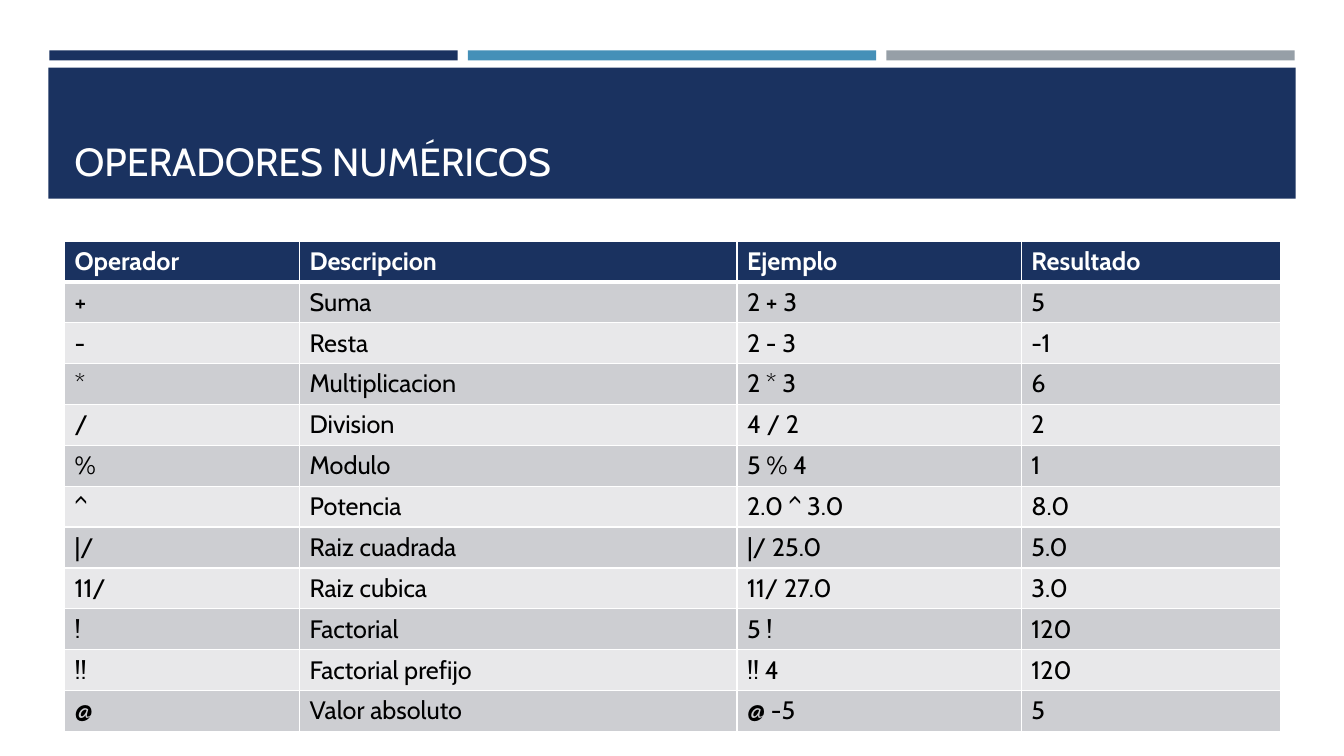
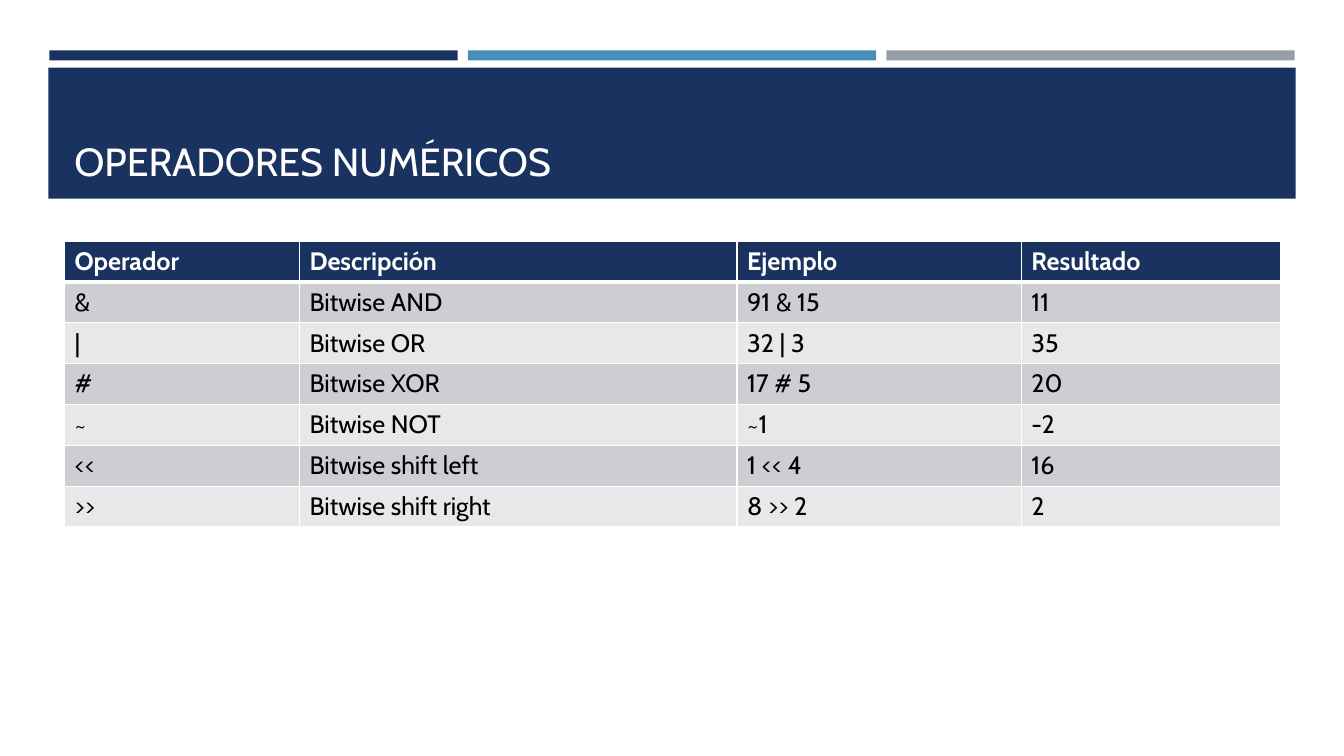
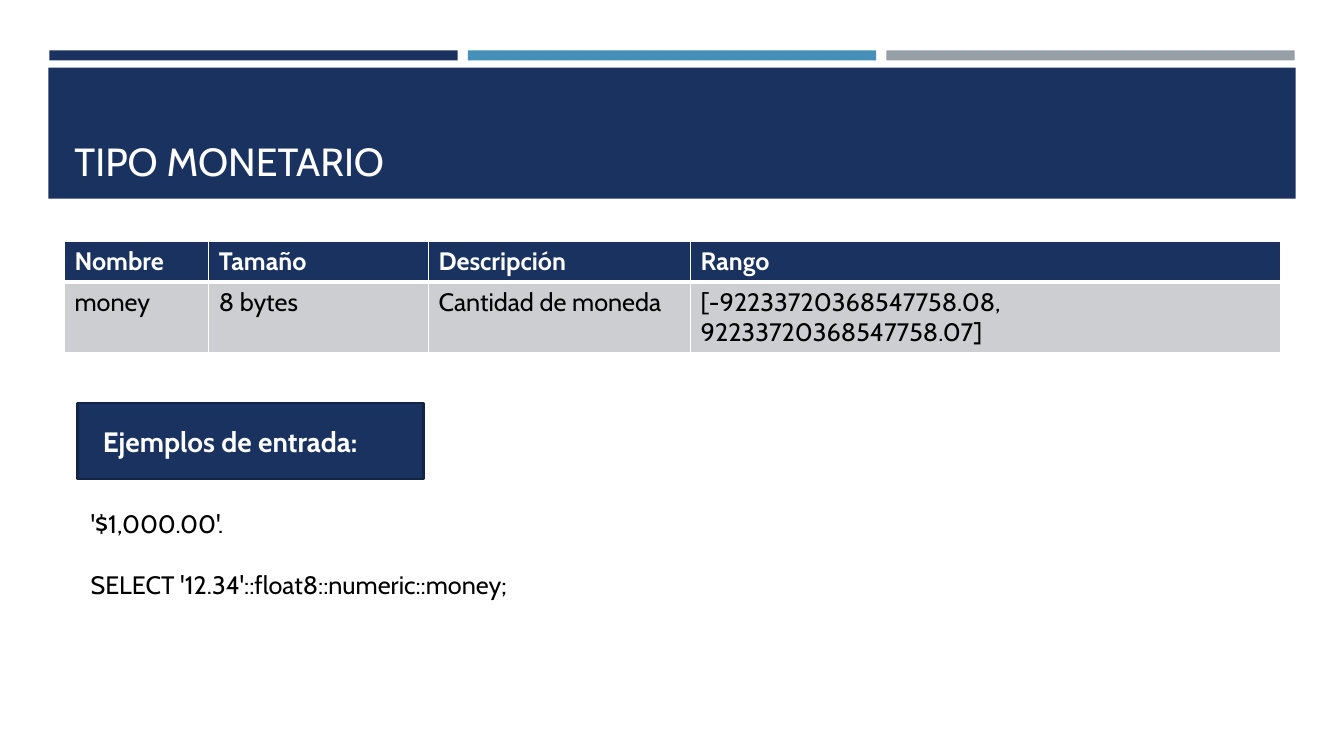
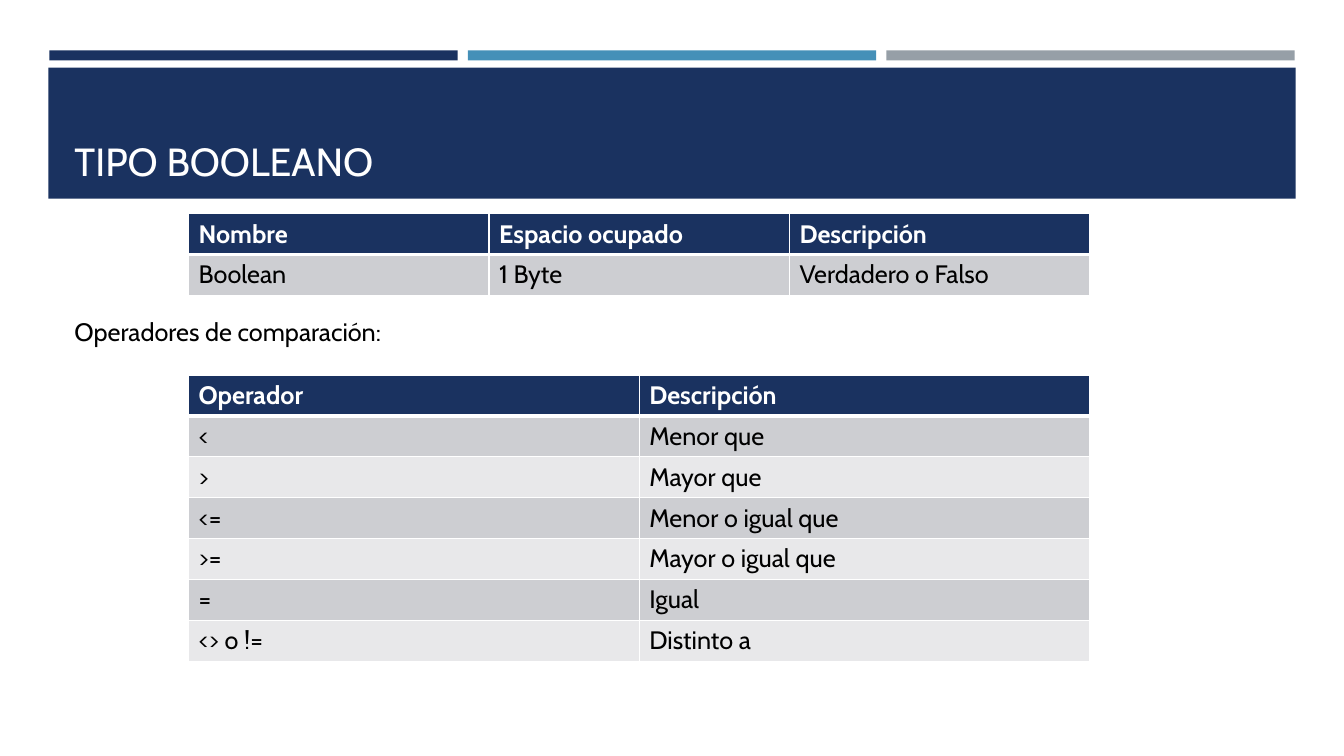
import pptx
import pptx.dml.color
import pptx.enum.shapes
import pptx.enum.text
import pptx.oxml
import pptx.oxml.ns
import pptx.util

RGB = pptx.dml.color.RGBColor
ANCHOR = pptx.enum.text.MSO_ANCHOR

PX = 9144  # EMU; 100 px to the inch
FONT = "Cabin"
NAVY = RGB(0x1A, 0x32, 0x60)
DARK_NAVY = RGB(0x13, 0x25, 0x47)
BLUE = RGB(0x45, 0x90, 0xB8)
GRAY = RGB(0x96, 0x9F, 0xA7)
WHITE = RGB(0xFF, 0xFF, 0xFF)
BLACK = RGB(0, 0, 0)
ROW_FILLS = (RGB(0xCD, 0xCE, 0xD2), RGB(0xE8, 0xE8, 0xEA))

OPERATOR_COLS = (233, 434, 282, 257)
NUMERIC_ROWS = [
    ("Operador", "Descripcion", "Ejemplo", "Resultado"),
    ("+", "Suma", "2 + 3", "5"),
    ("-", "Resta", "2 - 3", "-1"),
    ("*", "Multiplicacion", "2 * 3", "6"),
    ("/", "Division", "4 / 2", "2"),
    ("%", "Modulo", "5 % 4", "1"),
    ("^", "Potencia", "2.0 ^ 3.0", "8.0"),
    ("|/", "Raiz cuadrada", "|/ 25.0", "5.0"),
    ("11/", "Raiz cubica", "11/ 27.0", "3.0"),
    ("!", "Factorial", "5 !", "120"),
    ("!!", "Factorial prefijo", "!! 4", "120"),
    ("@", "Valor absoluto", "@ -5", "5"),
]
BITWISE_ROWS = [
    ("Operador", "Descripción", "Ejemplo", "Resultado"),
    ("&", "Bitwise AND", "91 & 15", "11"),
    ("|", "Bitwise OR", "32 | 3", "35"),
    ("#", "Bitwise XOR", "17 # 5", "20"),
    ("~", "Bitwise NOT", "~1", "-2"),
    ("<<", "Bitwise shift left", "1 << 4", "16"),
    (">>", "Bitwise shift right", "8 >> 2", "2"),
]
MONEY_ROWS = [
    ("Nombre", "Tamaño", "Descripción", "Rango"),
    ("money", "8 bytes", "Cantidad de moneda",
     "[-92233720368547758.08, 92233720368547758.07]"),
]
BOOLEAN_ROWS = [
    ("Nombre", "Espacio ocupado", "Descripción"),
    ("Boolean", "1 Byte", "Verdadero o Falso"),
]
COMPARISON_ROWS = [
    ("Operador", "Descripción"),
    ("<", "Menor que"),
    (">", "Mayor que"),
    ("<=", "Menor o igual que"),
    (">=", "Mayor o igual que"),
    ("=", "Igual"),
    ("<> o !=", "Distinto a"),
]


def px(*lengths):
    return [pptx.util.Emu(n * PX) for n in lengths]


def style(p, size, color, bold=False):
    p.font.name = FONT
    p.font.size = pptx.util.Pt(size)
    p.font.color.rgb = color
    p.font.bold = bold


def add_rect(slide, box, fill, line=None):
    sp = slide.shapes.add_shape(pptx.enum.shapes.MSO_SHAPE.RECTANGLE, *px(*box))
    sp.shadow.inherit = False
    sp.fill.solid()
    sp.fill.fore_color.rgb = fill
    if line is None:
        sp.line.fill.background()
    else:
        sp.line.color.rgb = line
        sp.line.width = pptx.util.Pt(1.75)
    return sp


def add_text(slide, box, lines, size=18, color=BLACK, anchor=ANCHOR.TOP, gap=0):
    """Add one paragraph per line, with gap points between them."""
    tf = slide.shapes.add_textbox(*px(*box)).text_frame
    tf.word_wrap = True
    tf.vertical_anchor = anchor
    for i, line in enumerate(lines):
        p = tf.add_paragraph() if i else tf.paragraphs[0]
        p.text = line
        style(p, size, color)
        if i:
            p.space_before = pptx.util.Pt(gap)


def add_label(slide, box, text):
    sp = add_rect(slide, box, NAVY, DARK_NAVY)
    tf = sp.text_frame
    tf.margin_left = px(25)[0]
    tf.vertical_anchor = ANCHOR.MIDDLE
    p = tf.paragraphs[0]
    p.text = text
    p.alignment = pptx.enum.text.PP_ALIGN.LEFT
    style(p, 20, WHITE, bold=True)


def set_borders(cell, top, bottom):
    """Draw white borders; top and bottom are widths in points."""
    tc_pr = cell._tc.get_or_add_tcPr()
    widths = {"lnL": 1, "lnR": 1, "lnT": top, "lnB": bottom}
    for i, (tag, width) in enumerate(widths.items()):
        tc_pr.insert(i, pptx.oxml.parse_xml(
            f'<a:{tag} {pptx.oxml.ns.nsdecls("a")} w="{pptx.util.Pt(width)}">'
            f'<a:solidFill><a:srgbClr val="{WHITE}"/></a:solidFill></a:{tag}>'))


def add_table(slide, left, top, height, cols, rows):
    """Add a table with a header row; cols are widths, rows share the height."""
    frame = slide.shapes.add_table(
        len(rows), len(cols), *px(left, top, sum(cols), height))
    table = frame.table
    for column, width in zip(table.columns, px(*cols)):
        column.width = width
    for r, row in enumerate(rows):
        header = r == 0
        for c, text in enumerate(row):
            cell = table.cell(r, c)
            cell.fill.solid()
            cell.fill.fore_color.rgb = NAVY if header else ROW_FILLS[(r - 1) % 2]
            set_borders(cell, top=3 if r == 1 else 1, bottom=3 if header else 1)
            p = cell.text_frame.paragraphs[0]
            p.text = text
            style(p, 18, WHITE if header else BLACK, bold=header)


def add_slide(prs, title):
    """Add a slide with the three strips and the title band."""
    slide = prs.slides.add_slide(prs.slide_layouts[6])
    for i, color in enumerate((NAVY, BLUE, GRAY)):
        add_rect(slide, (49 + 415 * i, 50, 405, 10), color)
    add_rect(slide, (48, 67, 1237, 130), NAVY)
    add_text(slide, (64, 77, 1206, 111), [title], 28, WHITE, ANCHOR.BOTTOM)
    return slide


def main():
    prs = pptx.Presentation()
    prs.slide_width, prs.slide_height = px(1333, 750)

    slide = add_slide(prs, "OPERADORES NUMÉRICOS")
    add_table(slide, 64, 239, 487, OPERATOR_COLS, NUMERIC_ROWS)

    slide = add_slide(prs, "OPERADORES NUMÉRICOS")
    add_table(slide, 64, 239, 284, OPERATOR_COLS, BITWISE_ROWS)

    slide = add_slide(prs, "TIPO MONETARIO")
    add_table(slide, 64, 239, 81, (143, 218, 260, 585), MONEY_ROWS)
    add_label(slide, (77, 400, 343, 75), "Ejemplos de entrada:")
    add_text(slide, (80, 499, 531, 101),
             ["'$1,000.00'.", "SELECT '12.34'::float8::numeric::money;"], gap=22)

    slide = add_slide(prs, "TIPO BOOLEANO")
    add_table(slide, 187, 212, 81, (298,) * 3, BOOLEAN_ROWS)
    add_text(slide, (64, 309, 441, 40), ["Operadores de comparación:"])
    add_table(slide, 187, 372, 284, (447,) * 2, COMPARISON_ROWS)

    prs.save("out.pptx")


if __name__ == "__main__":
    main()
